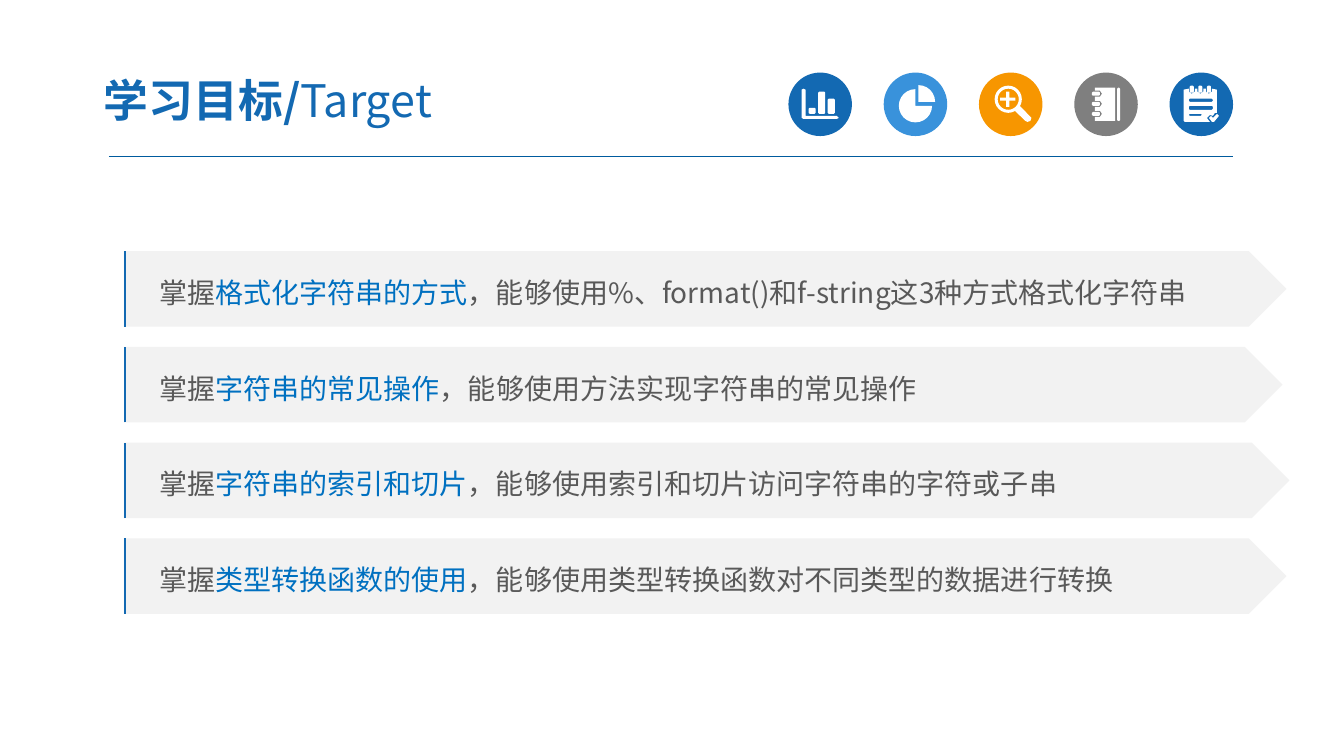
from math import cos, radians, sin

from lxml import etree
from pptx import Presentation
from pptx.dml.color import RGBColor
from pptx.enum.shapes import MSO_CONNECTOR, MSO_SHAPE
from pptx.enum.text import MSO_ANCHOR, MSO_AUTO_SIZE, PP_ALIGN
from pptx.oxml.ns import qn
from pptx.util import Inches, Pt

OVAL = MSO_SHAPE.OVAL
BANNER = MSO_SHAPE.PENTAGON
STRAIGHT = MSO_CONNECTOR.STRAIGHT
MIDDLE = MSO_ANCHOR.MIDDLE
LEFT = PP_ALIGN.LEFT
NO_AUTOFIT = MSO_AUTO_SIZE.NONE

FONT = "Noto Sans CJK SC"
COLORS = {
    "blue": "1369B2",
    "sky": "3992DB",
    "orange": "F79600",
    "gray": "7F7F7F",
    "white": "FFFFFF",
    "rule": "005B9E",
    "banner": "F2F2F2",
    "text": "595959",
    "key": "0070C0",
}
GOALS = [
    (11.53, "格式化字符串的方式", "，能够使用%、format()和f-string这3种方式格式化字符串"),
    (11.49, "字符串的常见操作", "，能够使用方法实现字符串的常见操作"),
    (11.56, "字符串的索引和切片", "，能够使用索引和切片访问字符串的字符或子串"),
    (11.53, "类型转换函数的使用", "，能够使用类型转换函数对不同类型的数据进行转换"),
]


def color(name):
    return RGBColor.from_string(COLORS[name])


def paint(shape, fill):
    shape.shadow.inherit = False
    shape.fill.solid()
    shape.fill.fore_color.rgb = color(fill)
    shape.line.fill.background()


def add_part(slide, kind, box, fill):
    part = slide.shapes.add_shape(kind, *map(Inches, box))
    paint(part, fill)
    return part


def add_outline(slide, contours, close=True):
    builder = None
    for contour in contours:
        start, *others = [(Inches(x), Inches(y)) for x, y in contour]
        if builder is None:
            builder = slide.shapes.build_freeform(*start)
        else:
            builder.move_to(*start)
        builder.add_line_segments(others, close=close)
    return builder.convert_to_shape()


def soft_box(x, y, w, h, cut=0.01):
    right, bottom = x + w, y + h
    return [(x + cut, y), (right - cut, y), (right, y + cut), (right, bottom - cut),
            (right - cut, bottom), (x + cut, bottom), (x, bottom - cut), (x, y + cut)]


def arc(x, y, radius, start, end):
    return [(x + radius * cos(radians(angle)), y + radius * sin(radians(angle)))
            for angle in range(start, end + 1, 15)]


def bar_chart_symbol():
    axes = [(7.95, 0.89), (7.97, 0.88), (7.99, 0.89), (7.99, 1.15), (8.3, 1.15),
            (8.32, 1.17), (8.3, 1.18), (7.97, 1.18), (7.95, 1.17)]
    bars = [soft_box(8.02 + 0.095 * index, 1.13 - height, 0.07, height)
            for index, height in enumerate([0.06, 0.22, 0.15])]
    return [axes, *bars]


def pie_symbol():
    return [arc(9.08, 1.05, 0.165, 0, 270) + [(9.08, 1.05)],
            arc(9.11, 1.01, 0.165, 270, 360) + [(9.11, 1.01)]]


def magnifier_symbol():
    handle = [(10.23, 1.17), (10.22, 1.2), (10.19, 1.21), (10.17, 1.2)]
    plus = [(9.98, 0.91), (10.01, 0.91), (10.01, 0.97), (10.07, 0.97),
            (10.07, 1), (10.01, 1), (10.01, 1.06), (9.98, 1.06),
            (9.98, 1), (9.92, 1), (9.92, 0.97), (9.98, 0.97)]
    return [arc(10, 0.985, 0.135, 60, 390) + handle, arc(10, 0.985, 0.105, 0, 345), plus]


def notebook_symbol():
    centers = [1.13, 1.03, 0.93]
    body = [(10.86, 0.87), (11.06, 0.87), (11.06, 1.2), (10.86, 1.2)]
    for y in centers:
        body += [(10.86, y + 0.03), (10.91, y + 0.03), (10.93, y),
                 (10.91, y - 0.03), (10.86, y - 0.03)]
    rings = [soft_box(10.83, y - 0.02, 0.08, 0.04) for y in centers]
    return [soft_box(11.08, 0.87, 0.03, 0.33), body, *rings]


def notepad_symbol():
    centers = [11.82, 11.905, 11.99]
    page = [(11.74, 0.89)]
    for x in centers:
        page += [(x - 0.03, 0.88), (x - 0.03, 0.91), (x, 0.93),
                 (x + 0.03, 0.91), (x + 0.03, 0.88)]
    page += [(12.07, 0.89), (12.07, 1.12), (12.05, 1.12), (12.03, 1.15),
             (12, 1.14), (11.97, 1.17), (12, 1.21), (11.75, 1.21), (11.74, 1.2)]
    check = [(11.99, 1.17), (12.01, 1.15), (12.03, 1.17), (12.07, 1.13),
             (12.09, 1.15), (12.04, 1.21), (12.02, 1.21)]
    rings = [soft_box(x - 0.02, 0.85, 0.04, 0.07) for x in centers]
    lines = [soft_box(11.79, y, width, height) for y, width, height in
             [(0.98, 0.24, 0.03), (1.05, 0.24, 0.04), (1.13, 0.13, 0.02)]]
    return [page, check, *rings, *lines]


def add_rule(slide, start, end):
    rule = slide.shapes.add_connector(STRAIGHT, *map(Inches, start + end))
    rule.line.color.rgb = color("rule")
    rule.line.width = Pt(0.75)
    etree.SubElement(rule._element.spPr, qn("a:effectLst"))


def add_edge(slide, top, bottom):
    edge = add_outline(slide, [[(1.24, bottom), (1.24, top)]], close=False)
    edge.shadow.inherit = False
    edge.fill.background()
    edge.line.color.rgb = color("blue")
    edge.line.width = Pt(1.5)


def add_run(paragraph, text, size, fill, bold=False):
    run = paragraph.add_run()
    run.text = text
    run.font.size = Pt(size)
    run.font.bold = bold
    run.font.name = FONT
    run.font.color.rgb = color(fill)
    etree.SubElement(run._r.get_or_add_rPr(), qn("a:ea"), typeface=FONT)


def add_title(slide):
    title = slide.shapes.title
    title.left, title.top = Inches(0.9), Inches(0.63)
    title.width, title.height = Inches(5.22), Inches(0.72)
    frame = title.text_frame
    frame.auto_size = NO_AUTOFIT
    frame.vertical_anchor = MIDDLE
    frame.margin_left = frame.margin_right = Inches(0.13)
    frame.margin_top = frame.margin_bottom = Inches(0.07)
    heading = frame.paragraphs[0]
    heading.alignment = LEFT
    add_run(heading, "学习目标/", 32, "blue", True)
    add_run(heading, "Target", 32, "blue")


def add_icons(slide):
    icons = [
        ("blue", bar_chart_symbol()),
        ("sky", pie_symbol()),
        ("orange", magnifier_symbol()),
        ("gray", notebook_symbol()),
        ("blue", notepad_symbol()),
    ]
    for index, (disc, symbol) in enumerate(icons):
        add_part(slide, OVAL, (7.82 + 0.945 * index, 0.72, 0.63, 0.63), disc)
        paint(add_outline(slide, symbol), "white")


def add_goal(slide, top, width, key, rest):
    height = 0.75
    banner = add_part(slide, BANNER, (1.23, top, width, height), "banner")
    frame = banner.text_frame
    frame.word_wrap = True
    frame.vertical_anchor = MIDDLE
    frame.margin_left = Inches(0.35)
    goal = frame.paragraphs[0]
    goal.alignment = LEFT
    goal.line_spacing = 1.2
    for text, fill in [("掌握", "text"), (key, "key"), (rest, "text")]:
        add_run(goal, text, 20, fill)
    add_edge(slide, top, top + height)


def main():
    deck = Presentation()
    deck.slide_width, deck.slide_height = Inches(13.33), Inches(7.5)
    slide = deck.slides.add_slide(deck.slide_layouts[5])
    add_title(slide)
    add_rule(slide, (1.08, 1.55), (12.23, 1.55))
    add_icons(slide)
    for index, (width, key, rest) in enumerate(GOALS):
        add_goal(slide, 2.49 + 0.95 * index, width, key, rest)
    deck.save("out.pptx")


if __name__ == "__main__":
    main()
